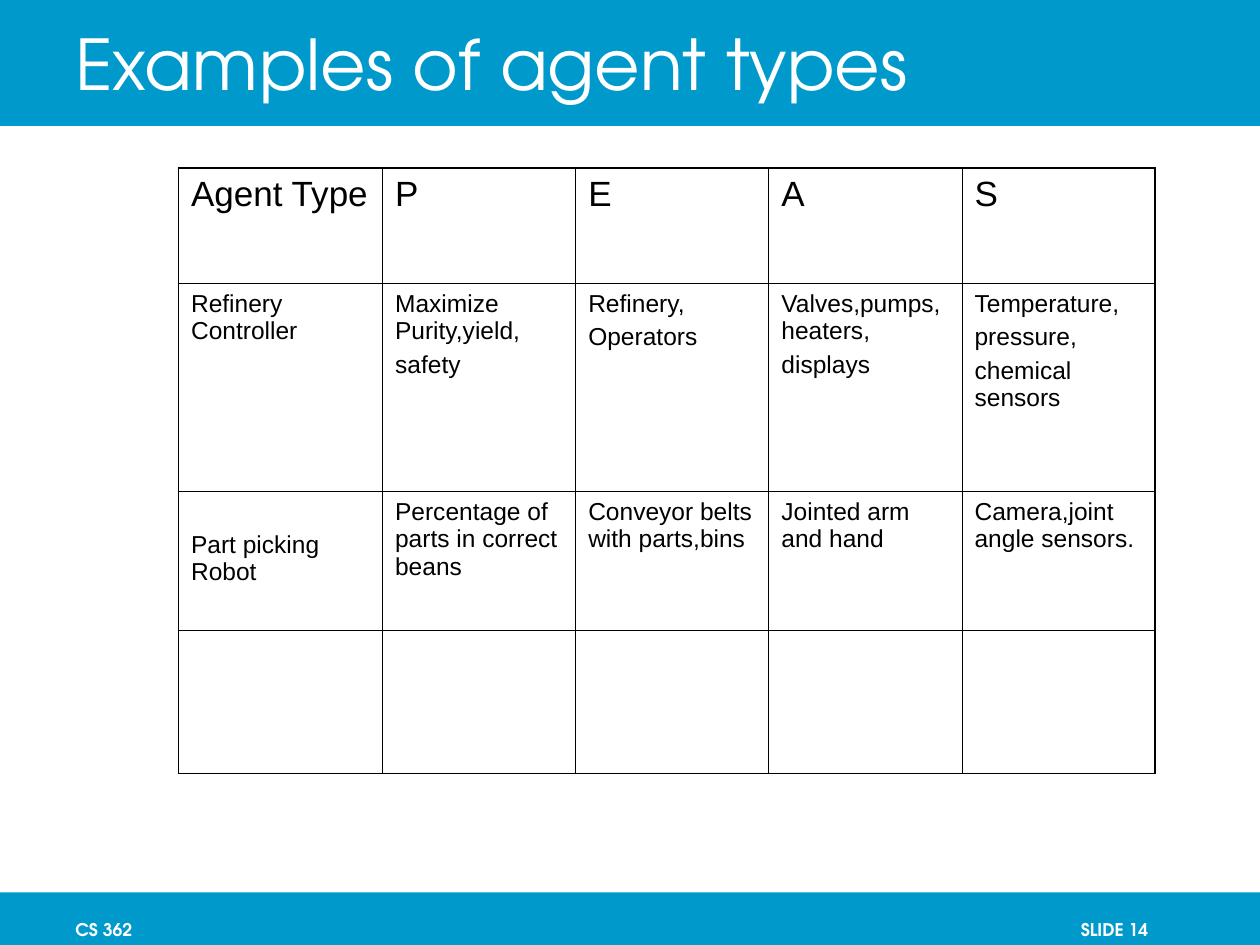
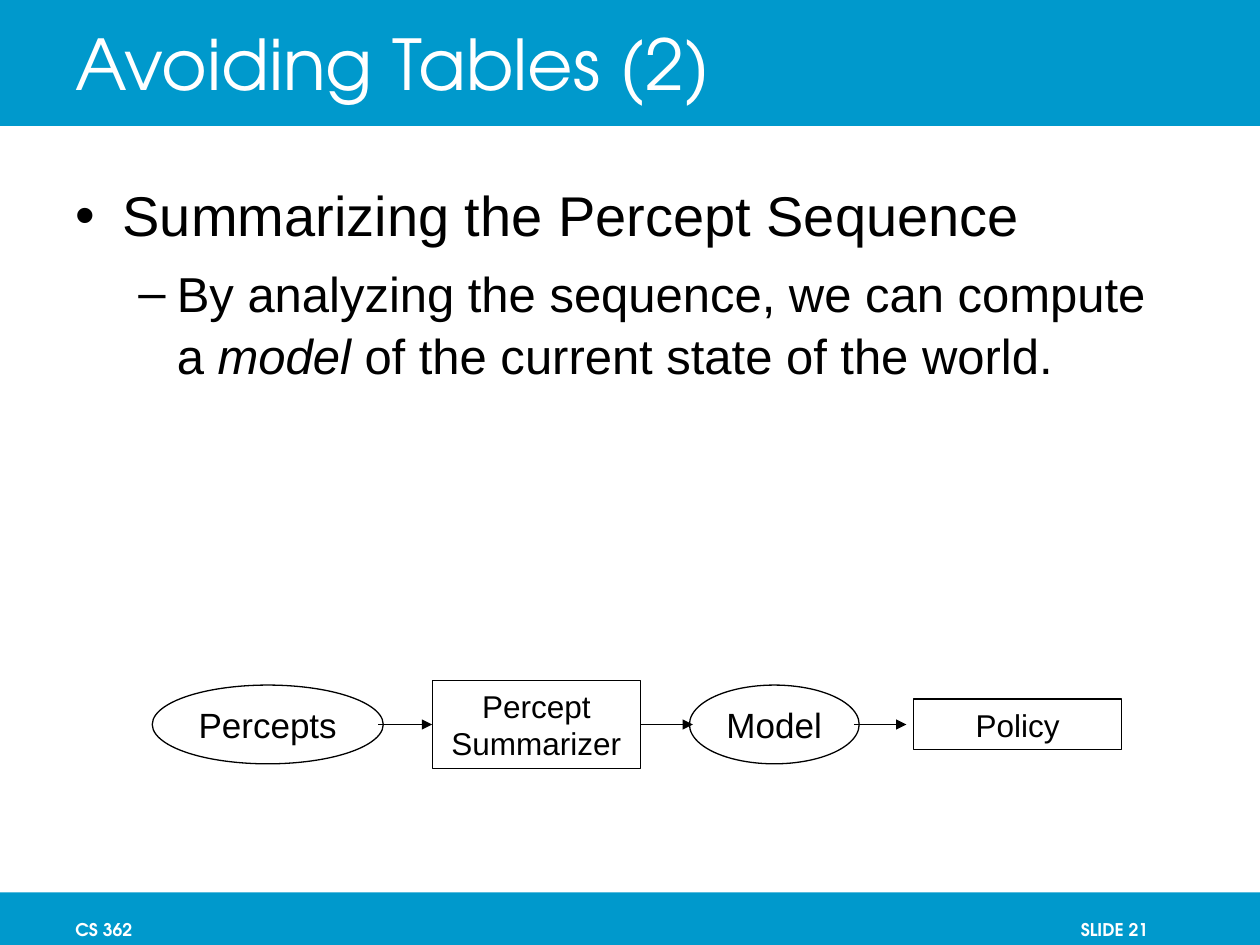
from lxml import etree
from pptx import Presentation
from pptx.dml.color import RGBColor
from pptx.enum.shapes import MSO_CONNECTOR, MSO_SHAPE
from pptx.enum.text import MSO_ANCHOR, PP_ALIGN
from pptx.oxml.ns import qn
from pptx.util import Pt

STRAIGHT = MSO_CONNECTOR.STRAIGHT
RECT, OVAL = MSO_SHAPE.RECTANGLE, MSO_SHAPE.OVAL
TOP, MIDDLE = MSO_ANCHOR.TOP, MSO_ANCHOR.MIDDLE
LEFT, CENTER, RIGHT = PP_ALIGN.LEFT, PP_ALIGN.CENTER, PP_ALIGN.RIGHT

COLORS = {"band": "0099CC", "on_band": "FFFFFF", "ink": "000000", "paper": "FFFFFF"}
BODY_FONT, BRAND_FONT = "Arial", "TeX Gyre Adventor"
SLIDE_W, SLIDE_H = 720, 540
TITLE_BAND_H, FOOTER_BAND_H = 72, 30

COURSE = "CS 362"

AGENT_TITLE = "Examples of agent types"
AGENT_ROWS = [
    [["Agent Type"], ["P"], ["E"], ["A"], ["S"]],
    [["Refinery Controller"], ["Maximize Purity,yield,", "safety"],
     ["Refinery,", "Operators"], ["Valves,pumps,heaters,", "displays"],
     ["Temperature,", "pressure,", "chemical sensors"]],
    [["Part picking Robot"], ["Percentage of parts in correct beans"],
     ["Conveyor belts with parts,bins"], ["Jointed arm and hand"],
     ["Camera,joint angle sensors."]],
    [[], [], [], [], []],
]
AGENT_LEFT, AGENT_TOP = 102, 96
AGENT_COLUMNS = [116.6] + [110.4] * 4
AGENT_HEIGHTS = [66, 119, 79, 82]
LOWERED_CELL, LOWERED_MARGIN = (2, 0), 22.5
OUTER_LINE, INNER_LINE = 1.08, 0.45

AVOID_TITLE = "Avoiding Tables (2)"
AVOID_POINTS = [
    dict(level=0, mark="•", indent=27, hang=27, size=32, before=0,
         parts=[("Summarizing the Percept Sequence", False)]),
    dict(level=1, mark="–", indent=58, hang=22, size=28, before=7,
         parts=[("By analyzing the sequence, we can compute a ", False),
                ("model", True),
                (" of the current state of the world.", False)]),
]
FLOW_Y = 414
FLOW_STEPS = [
    ("Percepts", OVAL, 87, 132, 45, 20),
    ("Percept Summarizer", RECT, 247, 119, 50, 18),
    ("Model", OVAL, 394, 97, 45, 20),
    ("Policy", RECT, 522, 119, 29, 18),
]
FLOW_ARROWS = [(216, 247, None, 1), (366, 396, 1, None), (488, 518, None, None)]


def color(name):
    return RGBColor.from_string(COLORS[name])


def style(font, size, name=BODY_FONT, ink="ink", bold=False):
    font.size = Pt(size)
    font.name = name
    font.bold = bold
    font.color.rgb = color(ink)


def add_band(slide, top, height):
    band = slide.shapes.add_shape(RECT, 0, Pt(top), Pt(SLIDE_W), Pt(height))
    band.shadow.inherit = False
    band.fill.solid()
    band.fill.fore_color.rgb = color("band")
    band.line.fill.background()


def add_frame(slide, left, top, width, height, anchor):
    box = slide.shapes.add_textbox(Pt(left), Pt(top), Pt(width), Pt(height))
    box.text_frame.word_wrap = True
    box.text_frame.vertical_anchor = anchor
    return box.text_frame


def add_band_text(slide, text, left, top, width, height, size, align=LEFT, bold=False):
    frame = add_frame(slide, left, top, width, height, MIDDLE)
    if align == RIGHT:
        frame.margin_right = 0
    paragraph = frame.paragraphs[0]
    paragraph.text = text
    paragraph.alignment = align
    style(paragraph.font, size, BRAND_FONT, "on_band", bold)


def add_slide(deck, title, number):
    slide = deck.slides.add_slide(deck.slide_layouts[6])
    add_band(slide, 0, TITLE_BAND_H)
    add_band(slide, SLIDE_H - FOOTER_BAND_H, FOOTER_BAND_H)
    add_band_text(slide, f"SLIDE {number}", 536, 522, 120, 18, 10, RIGHT, True)
    add_band_text(slide, COURSE, 36, 522, 150, 18, 10, LEFT, True)
    add_band_text(slide, title, 36, 0, 612, TITLE_BAND_H, 40)
    return slide


def add_border(cell, side, width):
    line = etree.SubElement(cell._tc.get_or_add_tcPr(), qn(f"a:ln{side}"), w=str(Pt(width)))
    fill = etree.SubElement(line, qn("a:solidFill"))
    etree.SubElement(fill, qn("a:srgbClr"), val=COLORS["ink"])


def fill_cell(cell, lines, size):
    for i, text in enumerate(lines):
        frame = cell.text_frame
        paragraph = frame.add_paragraph() if i else frame.paragraphs[0]
        paragraph.text = text
        if i:
            paragraph.space_before = Pt(3.5)
        style(paragraph.font, size)


def add_agent_table(slide):
    row_count, column_count = len(AGENT_HEIGHTS), len(AGENT_COLUMNS)
    table = slide.shapes.add_table(
        row_count, column_count, Pt(AGENT_LEFT), Pt(AGENT_TOP),
        Pt(sum(AGENT_COLUMNS)), Pt(sum(AGENT_HEIGHTS))).table
    table.first_row = table.horz_banding = False
    for column, width in zip(table.columns, AGENT_COLUMNS):
        column.width = Pt(width)
    for r, height in enumerate(AGENT_HEIGHTS):
        table.rows[r].height = Pt(height)
        for c in range(column_count):
            cell = table.cell(r, c)
            edges = {"L": c == 0, "R": c == column_count - 1,
                     "T": r == 0, "B": r == row_count - 1}
            for side, outer in edges.items():
                add_border(cell, side, OUTER_LINE if outer else INNER_LINE)
            cell.fill.solid()
            cell.fill.fore_color.rgb = color("paper")
            fill_cell(cell, AGENT_ROWS[r][c], 14 if r else 20)
    table.cell(*LOWERED_CELL).margin_top = Pt(LOWERED_MARGIN)


def add_points(slide):
    frame = add_frame(slide, 36, 98, 648, 224, TOP)
    for i, point in enumerate(AVOID_POINTS):
        paragraph = frame.add_paragraph() if i else frame.paragraphs[0]
        paragraph.level = point["level"]
        paragraph.line_spacing = 1.05
        paragraph.space_before = Pt(point["before"])
        props = paragraph._p.get_or_add_pPr()
        props.set("marL", str(Pt(point["indent"])))
        props.set("indent", str(-Pt(point["hang"])))
        etree.SubElement(props, qn("a:buFont"), typeface=BODY_FONT)
        etree.SubElement(props, qn("a:buChar"), char=point["mark"])
        style(paragraph.font, point["size"])
        for text, italic in point["parts"]:
            run = paragraph.add_run()
            run.text = text
            if italic:
                run.font.italic = True


def add_step(slide, label, outline, left, width, height, size):
    step = slide.shapes.add_shape(
        outline, Pt(left), Pt(FLOW_Y - height / 2), Pt(width), Pt(height))
    step.shadow.inherit = False
    step.fill.background()
    step.line.color.rgb = color("ink")
    step.line.width = Pt(0.75)
    frame = step.text_frame
    frame.word_wrap = outline == RECT
    frame.vertical_anchor = MIDDLE
    paragraph = frame.paragraphs[0]
    paragraph.text = label
    paragraph.alignment = CENTER
    style(paragraph.font, size)
    return step


def add_flow(slide):
    steps = [add_step(slide, *step) for step in FLOW_STEPS]
    for start, end, source, target in FLOW_ARROWS:
        arrow = slide.shapes.add_connector(
            STRAIGHT, Pt(start), Pt(FLOW_Y), Pt(end), Pt(FLOW_Y))
        if source is not None:
            arrow.begin_connect(steps[source], 3)
        if target is not None:
            arrow.end_connect(steps[target], 1)
        arrow.line.color.rgb = color("ink")
        arrow.line.width = Pt(0.75)
        etree.SubElement(arrow.line._get_or_add_ln(), qn("a:tailEnd"), type="triangle")
        etree.SubElement(arrow._element.spPr, qn("a:effectLst"))


def main():
    deck = Presentation()
    deck.slide_width, deck.slide_height = Pt(SLIDE_W), Pt(SLIDE_H)
    add_agent_table(add_slide(deck, AGENT_TITLE, 14))
    avoiding = add_slide(deck, AVOID_TITLE, 21)
    add_points(avoiding)
    add_flow(avoiding)
    deck.save("out.pptx")


if __name__ == "__main__":
    main()
